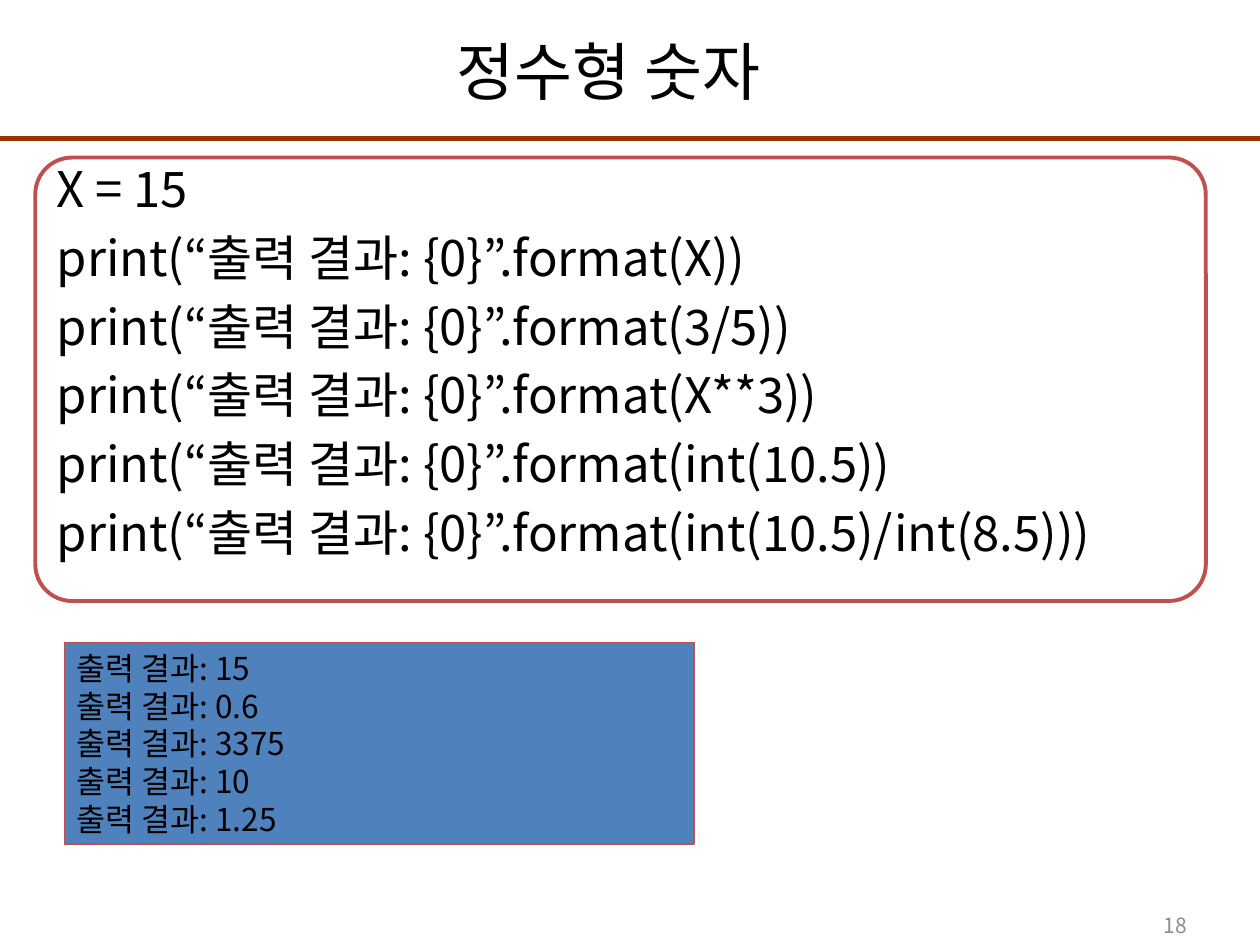
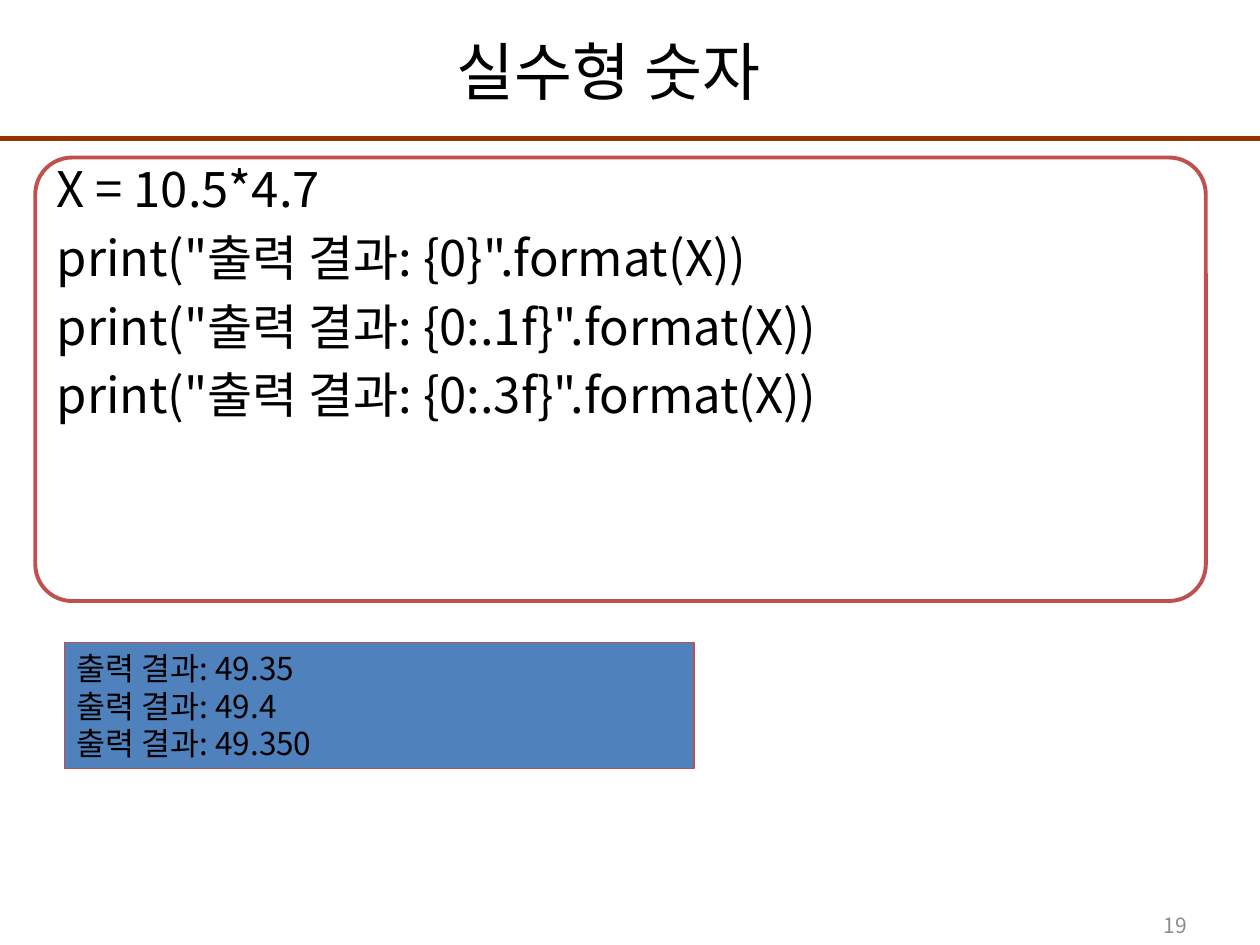
from lxml import etree
from pptx import Presentation
from pptx.dml.color import RGBColor
from pptx.enum.shapes import MSO_CONNECTOR, MSO_SHAPE
from pptx.enum.text import MSO_ANCHOR, MSO_AUTO_SIZE, PP_ALIGN
from pptx.oxml.ns import qn
from pptx.util import Inches, Pt

LEFT, CENTER, RIGHT = PP_ALIGN.LEFT, PP_ALIGN.CENTER, PP_ALIGN.RIGHT
TOP, MIDDLE = MSO_ANCHOR.TOP, MSO_ANCHOR.MIDDLE
NO_FIT = MSO_AUTO_SIZE.NONE
STRAIGHT = MSO_CONNECTOR.STRAIGHT
RECTANGLE, ROUNDED = MSO_SHAPE.RECTANGLE, MSO_SHAPE.ROUNDED_RECTANGLE

FONT = "Noto Sans CJK KR"
BLACK = RGBColor(0x00, 0x00, 0x00)
GRAY = RGBColor(0x8C, 0x8C, 0x8C)
BROWN = RGBColor(0x99, 0x33, 0x00)
RED = RGBColor(0xC0, 0x50, 0x4D)
BLUE = RGBColor(0x4F, 0x81, 0xBD)

SLIDE_WIDTH, SLIDE_HEIGHT = 10, 7.5
TITLE_BOX = (0.47, 0.16, 9, 0.79)
CODE_BOX = (0.35, 1.21, 9.61, 5.86)
FRAME_BOX = (0.28, 1.25, 9.29, 3.52)
NUMBER_BOX = (7.19, 7.19, 2.33, 0.31)
RULE_TOP = 1.1
OUTPUT_LEFT, OUTPUT_TOP, OUTPUT_WIDTH = 0.51, 5.1, 5
OUTPUT_LINE, OUTPUT_PADDING = 0.3, 0.1

PAGES = [
    (18, "정수형 숫자",
     ["X = 15",
      "print(“출력 결과: {0}”.format(X))",
      "print(“출력 결과: {0}”.format(3/5))",
      "print(“출력 결과: {0}”.format(X**3))",
      "print(“출력 결과: {0}”.format(int(10.5))",
      "print(“출력 결과: {0}”.format(int(10.5)/int(8.5)))"],
     ["15", "0.6", "3375", "10", "1.25"]),
    (19, "실수형 숫자",
     ["X = 10.5*4.7",
      'print("출력 결과: {0}".format(X))',
      'print("출력 결과: {0:.1f}".format(X))',
      'print("출력 결과: {0:.3f}".format(X))'],
     ["49.35", "49.4", "49.350"]),
]


def place(shape, box):
    shape.left, shape.top, shape.width, shape.height = map(Inches, box)


def write(shape, lines, size, color=BLACK, align=LEFT, anchor=TOP):
    frame = shape.text_frame
    frame.word_wrap = True
    frame.auto_size = NO_FIT
    frame.vertical_anchor = anchor
    for index, line in enumerate(lines):
        para = frame.add_paragraph() if index else frame.paragraphs[0]
        para.alignment = align
        span = para.add_run()
        span.text = line
        span.font.name = FONT
        span.font.size = Pt(size)
        span.font.color.rgb = color
        east_asian = etree.SubElement(span.font._element, qn("a:ea"))
        east_asian.set("typeface", FONT)


def remove_bullets(shape):
    for para in shape.text_frame.paragraphs:
        properties = para._p.get_or_add_pPr()
        properties.set("marL", "0")
        properties.set("indent", "0")
        etree.SubElement(properties, qn("a:buNone"))


def add_panel(page, kind, box, line_width, fill=None):
    panel = page.shapes.add_shape(kind, *map(Inches, box))
    panel.shadow.inherit = False
    panel.line.color.rgb = RED
    panel.line.width = Pt(line_width)
    if fill is None:
        panel.fill.background()
    else:
        panel.fill.solid()
        panel.fill.fore_color.rgb = fill
    return panel


def add_header(page, title):
    rule = page.shapes.add_connector(
        STRAIGHT, 0, Inches(RULE_TOP), Inches(SLIDE_WIDTH), Inches(RULE_TOP))
    rule.line.color.rgb = BROWN
    rule.line.width = Pt(3)
    etree.SubElement(rule._element.spPr, qn("a:effectLst"))

    heading = page.shapes.title
    place(heading, TITLE_BOX)
    write(heading, [title], 36, align=CENTER, anchor=MIDDLE)
    heading.text_frame.margin_right = Inches(0.38)


def add_code(page, lines):
    code = page.placeholders[1]
    place(code, CODE_BOX)
    write(code, lines, 28)
    remove_bullets(code)
    frame = add_panel(page, ROUNDED, FRAME_BOX, 2.25)
    frame.adjustments[0] = 0.083


def add_output(page, values):
    """Draw the result box, as tall as its lines need."""
    height = OUTPUT_LINE * len(values) + OUTPUT_PADDING
    box = (OUTPUT_LEFT, OUTPUT_TOP, OUTPUT_WIDTH, height)
    output = add_panel(page, RECTANGLE, box, 0.75, BLUE)
    write(output, [f"출력 결과: {value}" for value in values], 18)


def add_page_number(page, number):
    box = page.shapes.add_textbox(*map(Inches, NUMBER_BOX))
    write(box, [str(number)], 12, color=GRAY, align=RIGHT, anchor=MIDDLE)


def main():
    deck = Presentation()
    deck.slide_width = Inches(SLIDE_WIDTH)
    deck.slide_height = Inches(SLIDE_HEIGHT)
    for number, title, code, values in PAGES:
        page = deck.slides.add_slide(deck.slide_layouts[1])
        add_header(page, title)
        add_code(page, code)
        add_output(page, values)
        add_page_number(page, number)
    deck.save("out.pptx")


if __name__ == "__main__":
    main()
